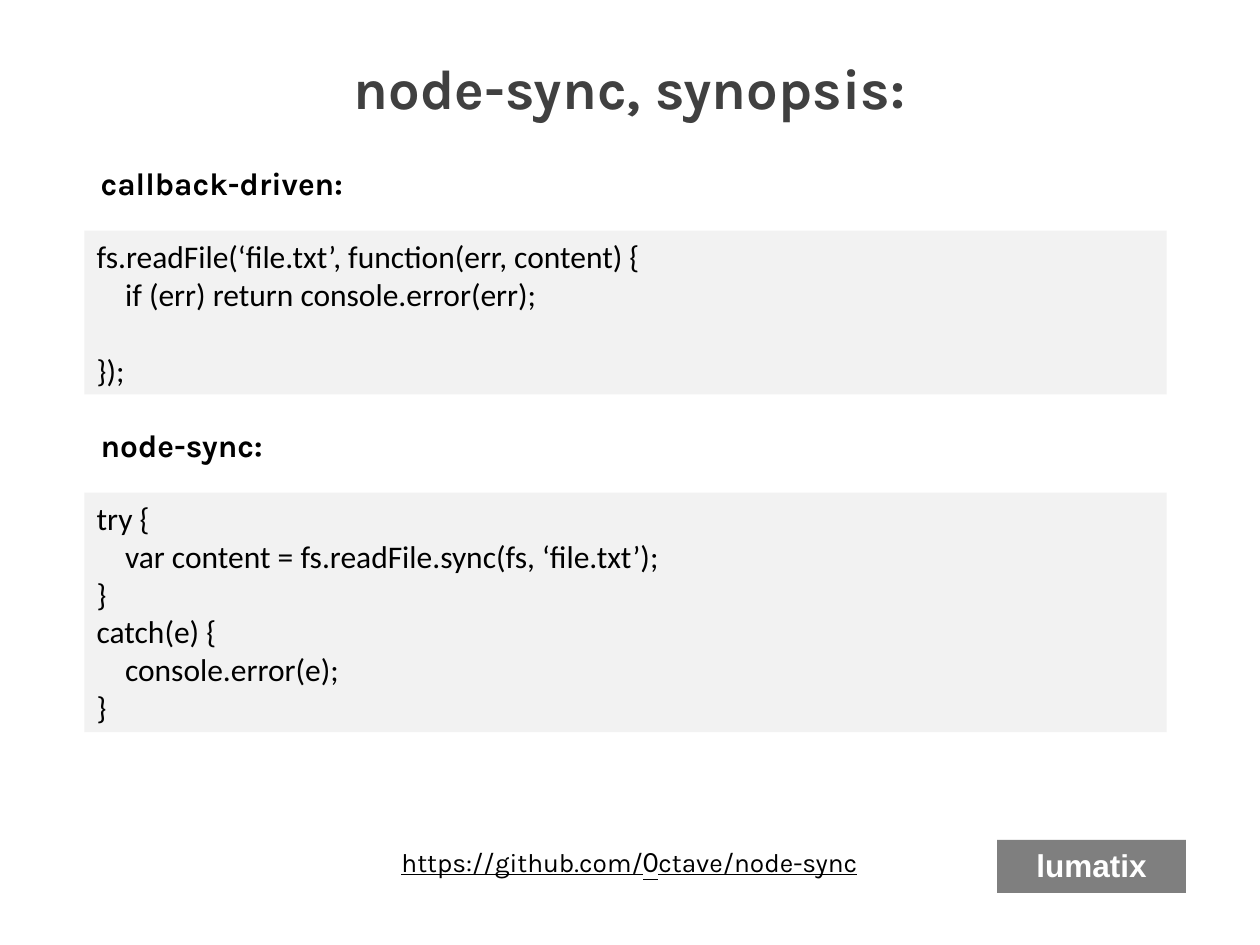
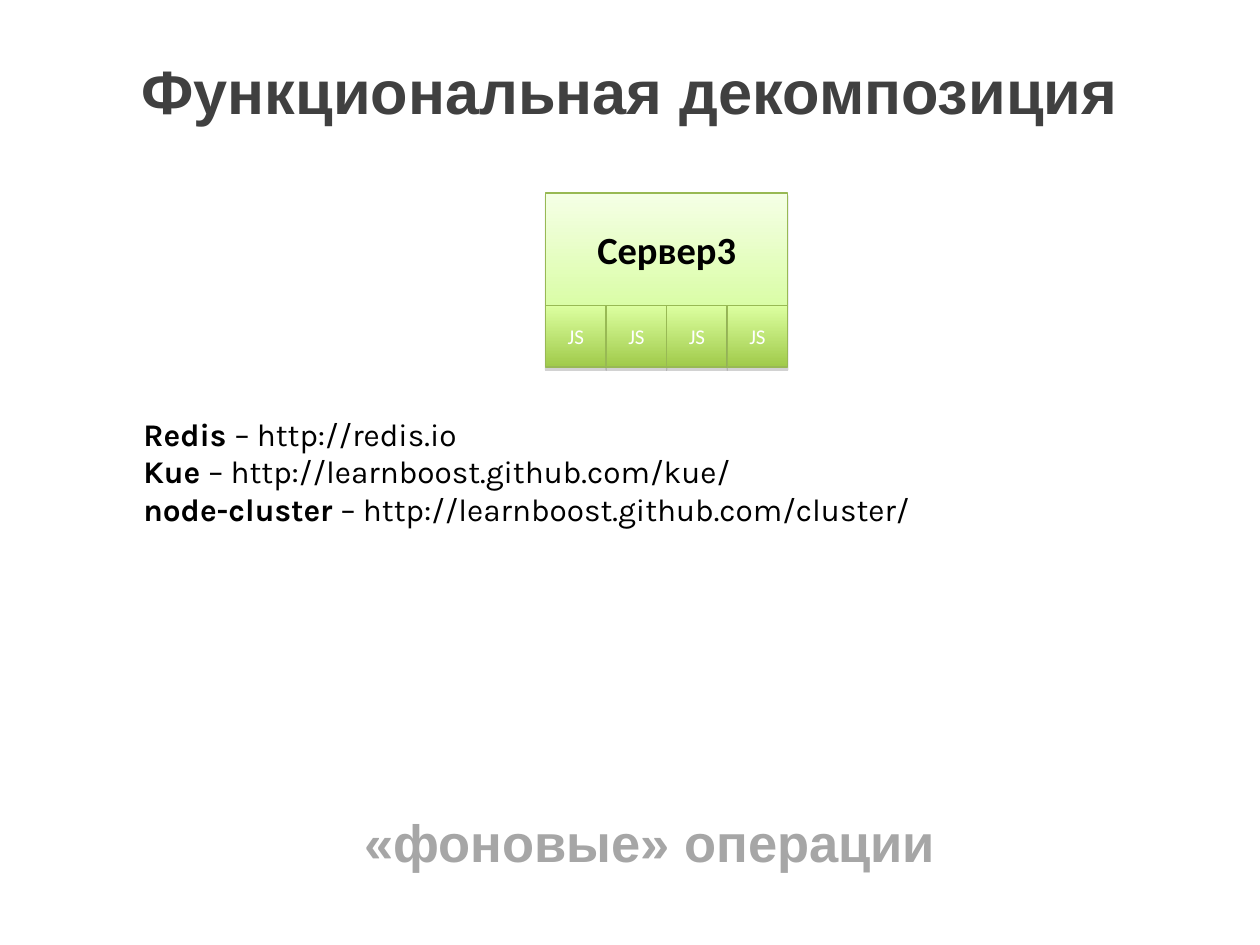
from dataclasses import dataclass
from typing import Any, NamedTuple

from lxml import etree
from pptx import Presentation
from pptx.dml.color import RGBColor
from pptx.enum.shapes import MSO_SHAPE
from pptx.enum.text import MSO_ANCHOR, MSO_AUTO_SIZE, PP_ALIGN
from pptx.oxml.ns import qn
from pptx.util import Cm, Pt

RECT = MSO_SHAPE.RECTANGLE
LEFT, CENTER = PP_ALIGN.LEFT, PP_ALIGN.CENTER
TOP, MIDDLE = MSO_ANCHOR.TOP, MSO_ANCHOR.MIDDLE
GROW, FIXED = MSO_AUTO_SIZE.SHAPE_TO_FIT_TEXT, MSO_AUTO_SIZE.NONE

BLACK, WHITE, DARK, MUTED = "000000", "FFFFFF", "404040", "A6A6A6"
PANEL, BADGE = "F2F2F2", "7F7F7F"
EDGE, SHADE = "98B954", "808080"
LINE_RATIO = 1.22


class Box(NamedTuple):
    """Left, top, width and height in centimetres."""
    left: float
    top: float
    width: float
    height: float


class Run(NamedTuple):
    text: str
    bold: bool | None = None
    font: str | None = None


@dataclass(frozen=True)
class Sample:
    """A heading with a panel of code below it."""
    label: str
    head: Box
    panel: Box
    code: str


@dataclass(frozen=True)
class Tile:
    """A look for the green blocks of the server."""
    start: str
    end: str
    alpha: int
    drop: float
    size: float
    color: str
    bold: bool


TITLE = Box(1.9, 0.84, 21.59, 2.11)
FOOT = Box(2.31, 16.08, 21.59, 2.11)
SERVER = Box(11, 3.89, 4.88, 2.27)
CORES, CORE_HIGH = 4, 1.24
HOST = Tile("F5FFE6", "DAFDA7", 38, 1.6, 22, BLACK, True)
CORE = Tile("DCFFA0", "A0CA4A", 35, 1.8, 12, WHITE, False)

SAMPLES = [
    Sample("callback-driven:", Box(1.78, 3.18, 5.54, 1.02), Box(1.7, 4.65, 21.82, 3.3),
           """fs.readFile(‘file.txt’, function(err, content) {
    if (err) return console.error(err);

});"""),
    Sample("node-sync:", Box(1.78, 8.46, 3.89, 1.02), Box(1.7, 9.93, 21.82, 4.83),
           """try {
    var content = fs.readFile.sync(fs, ‘file.txt’);
}
catch(e) {
    console.error(e);
}"""),
]
TOOLS = [
    ("Redis", "http://redis.io"),
    ("Kue", "http://learnboost.github.com/kue/"),
    ("node-cluster", "http://learnboost.github.com/cluster/"),
]


def rgb(code: str) -> RGBColor:
    return RGBColor.from_string(code)


def span(box: Box) -> list[Cm]:
    return [Cm(side) for side in box]


def write(shape: Any, text: str | list[list[Run]], *, font: str = "Karla",
          size: float = 18, color: str = BLACK, bold: bool = False,
          under: bool = False, align: PP_ALIGN = LEFT, anchor: MSO_ANCHOR = TOP,
          wrap: bool = True, inset: float = 0.13) -> None:
    """Fill a shape; an empty line becomes space above the next one."""
    frame = shape.text_frame
    frame.word_wrap = wrap
    frame.auto_size = FIXED if wrap else GROW
    frame.vertical_anchor = anchor
    frame.margin_left = frame.margin_right = Cm(0.25)
    frame.margin_top, frame.margin_bottom = Cm(inset), Cm(0.13)
    lines = text
    if isinstance(text, str):
        lines = [[Run(line)] if line else [] for line in text.split("\n")]
    para, gap = frame.paragraphs[0], 0.0
    for row, line in enumerate(lines):
        if not line:
            gap += size * LINE_RATIO
            continue
        if row:
            para = frame.add_paragraph()
        para.alignment = align
        if gap:
            para.space_before = Pt(gap)
            gap = 0.0
        for part in line:
            run = para.add_run()
            run.text = part.text
            face = run.font
            face.name = part.font or font
            face.size = Pt(size)
            face.bold = bold if part.bold is None else part.bold
            face.underline = under
            face.color.rgb = rgb(color)


def add_text(slide: Any, box: Box, text: str | list[list[Run]], **form: Any) -> None:
    write(slide.shapes.add_textbox(*span(box)), text, **form)


def add_panel(slide: Any, box: Box, fill: str, text: str, **form: Any) -> None:
    shape = slide.shapes.add_shape(RECT, *span(box))
    shape.shadow.inherit = False
    shape.fill.solid()
    shape.fill.fore_color.rgb = rgb(fill)
    shape.line.fill.background()
    write(shape, text, **form)


def add_title(slide: Any, text: str, *, box: Box = TITLE, color: str = DARK,
              **form: Any) -> None:
    add_text(slide, box, text, color=color, bold=True, align=CENTER, inset=0.24, **form)


def cast(shape: Any, alpha: int, drop: float) -> None:
    """Give the shape a sharp shadow straight below it."""
    shape.shadow.inherit = False
    effects = shape._element.spPr.find(qn("a:effectLst"))
    outer = etree.SubElement(effects, qn("a:outerShdw"), blurRad="0",
                             dist=str(Pt(drop)), dir="5400000", rotWithShape="0")
    tint = etree.SubElement(outer, qn("a:srgbClr"), val=SHADE)
    etree.SubElement(tint, qn("a:alpha"), val=str(alpha * 1000))


def add_tile(group: Any, box: Box, tile: Tile, text: str) -> None:
    shape = group.shapes.add_shape(RECT, *span(box))
    shape.fill.gradient()
    shape.fill.gradient_angle = 270
    for stop, color in zip(shape.fill.gradient_stops, (tile.start, tile.end)):
        stop.color.rgb = rgb(color)
    shape.line.color.rgb = rgb(EDGE)
    shape.line.width = Pt(0.75)
    cast(shape, tile.alpha, tile.drop)
    write(shape, text, font="Calibri", size=tile.size, color=tile.color,
          bold=tile.bold, align=CENTER, anchor=MIDDLE)


def add_server(slide: Any, name: str) -> None:
    group = slide.shapes.add_group_shape()
    add_tile(group, SERVER, HOST, name)
    width = SERVER.width / CORES
    for core in range(CORES):
        box = Box(SERVER.left + core * width, SERVER.top + SERVER.height,
                  width, CORE_HIGH)
        add_tile(group, box, CORE, "JS")


def draw_sync(slide: Any) -> None:
    link = [Run("https://github.com/"), Run("0", font="Lato"), Run("ctave/node-sync")]
    add_text(slide, Box(5.28, 16.93, 14.82, 0.9), [link], size=15, under=True, align=CENTER)
    add_title(slide, "node-sync, synopsis:", size=32)
    for item in SAMPLES:
        add_panel(slide, item.panel, PANEL, item.code, font="Calibri")
        add_text(slide, item.head, item.label, bold=True, wrap=False)
    add_panel(slide, Box(20.1, 16.93, 3.81, 1.07), BADGE, "lumatix", font="Arial",
              color=WHITE, bold=True, align=CENTER)


def draw_split(slide: Any) -> None:
    add_title(slide, "Функциональная декомпозиция", font="Arial", size=35)
    add_server(slide, "Сервер3")
    lines = [[Run(f"{name} ", bold=True), Run(f"– {link}")] for name, link in TOOLS]
    add_text(slide, Box(2.64, 8.23, 16.31, 2.54), lines, wrap=False)
    add_title(slide, "«фоновые» операции", box=FOOT, color=MUTED, font="Arial", size=30)


def main() -> None:
    deck = Presentation()
    deck.slide_width, deck.slide_height = Cm(25.4), Cm(19.05)
    blank = deck.slide_layouts[6]
    for draw in (draw_sync, draw_split):
        draw(deck.slides.add_slide(blank))
    deck.save("out.pptx")


if __name__ == "__main__":
    main()
